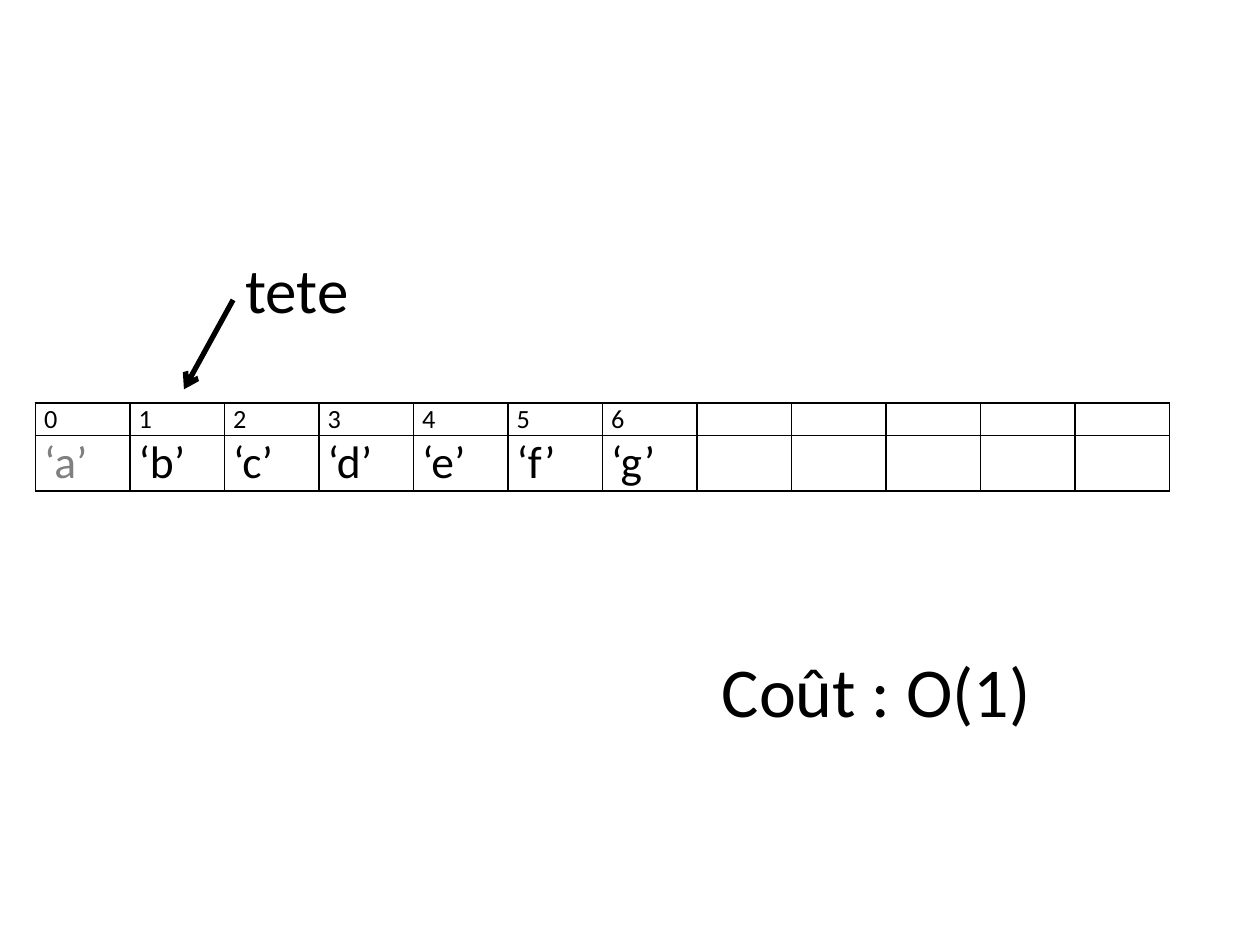
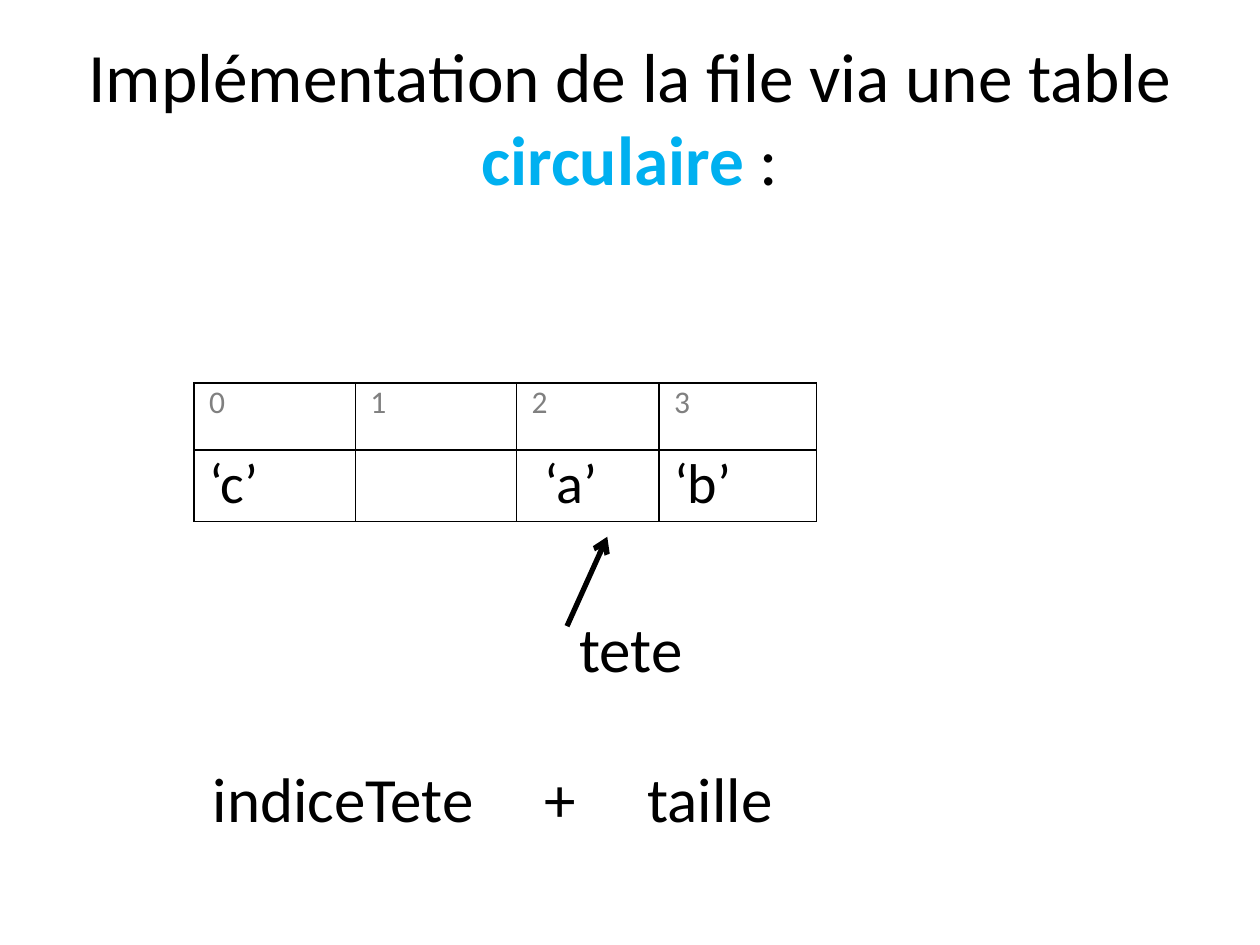
"""Build two slides on queues stored in a linear and in a circular table."""

from dataclasses import dataclass

from lxml import etree
from pptx import Presentation
from pptx.dml.color import RGBColor
from pptx.enum.shapes import MSO_CONNECTOR
from pptx.enum.text import MSO_ANCHOR, MSO_AUTO_SIZE, PP_ALIGN
from pptx.oxml.ns import qn
from pptx.slide import Slide
from pptx.table import _Cell
from pptx.text.text import _Paragraph
from pptx.util import Inches, Pt

STRAIGHT = MSO_CONNECTOR.STRAIGHT
MIDDLE = MSO_ANCHOR.MIDDLE
CENTER = PP_ALIGN.CENTER
NO_AUTOFIT = MSO_AUTO_SIZE.NONE
TITLE_ONLY, BLANK = 5, 6
BORDER_SIDES = ("a:lnL", "a:lnR", "a:lnT", "a:lnB")


@dataclass(frozen=True)
class Theme:
    """Colours, font and type sizes of the deck."""

    font: str = "Calibri"
    ink: str = "000000"
    muted: str = "808080"
    accent: str = "00B0F0"
    title_size: float = 39.6
    label_size: float = 36
    cost_size: float = 40
    border_width: float = 1
    arrow_width: float = 3


THEME = Theme()


@dataclass(frozen=True)
class Row:
    """One table row with its height and type style."""

    values: list[str]
    height: float
    size: float
    color: str = THEME.ink


@dataclass(frozen=True)
class QueueTable:
    """A queue drawn as a row of indices above a row of values."""

    left: float
    top: float
    widths: list[float]
    margin: float
    rows: list[Row]
    removed: tuple[str, ...] = ()


@dataclass(frozen=True)
class Label:
    """A single line of text with optional tab stops."""

    text: str
    left: float
    top: float
    width: float
    height: float
    size: float = THEME.label_size
    tabs: tuple[float, ...] = ()


@dataclass(frozen=True)
class Arrow:
    """A pointer from a label to a table cell."""

    start: tuple[float, float]
    end: tuple[float, float]


def add_run(paragraph: _Paragraph, text: str, size: float,
            color: str = THEME.ink, bold: bool = False) -> None:
    """Append one formatted run."""
    run = paragraph.add_run()
    run.text = text
    run.font.name = THEME.font
    run.font.size = Pt(size)
    run.font.bold = bold
    run.font.color.rgb = RGBColor.from_string(color)


def add_borders(cell: _Cell) -> None:
    """Draw a thin line on the four sides of a cell."""
    properties = cell._tc.get_or_add_tcPr()
    for side in BORDER_SIDES:
        line = etree.SubElement(properties, qn(side), w=str(Pt(THEME.border_width)))
        fill = etree.SubElement(line, qn("a:solidFill"))
        etree.SubElement(fill, qn("a:srgbClr"), val=THEME.ink)


def fill_cell(cell: _Cell, text: str, size: float, color: str, margin: float) -> None:
    """Format a cell and write its text."""
    cell.margin_left = cell.margin_right = Inches(margin)
    cell.margin_top = cell.margin_bottom = 0
    add_borders(cell)
    cell.fill.background()
    paragraph = cell.text_frame.paragraphs[0]
    if text:
        add_run(paragraph, text, size, color)
    else:
        etree.SubElement(paragraph._p, qn("a:endParaRPr"), sz=str(int(size * 100)))


def add_queue(slide: Slide, queue: QueueTable) -> None:
    """Draw a queue as a bordered table."""
    table = slide.shapes.add_table(
        len(queue.rows), len(queue.widths), Inches(queue.left), Inches(queue.top),
        Inches(sum(queue.widths)), Inches(sum(row.height for row in queue.rows))).table
    table.first_row = table.horz_banding = False
    for column, width in zip(table.columns, queue.widths):
        column.width = Inches(width)
    for r, row in enumerate(queue.rows):
        table.rows[r].height = Inches(row.height)
        for c in range(len(queue.widths)):
            text = row.values[c] if c < len(row.values) else ""
            color = THEME.muted if text in queue.removed else row.color
            fill_cell(table.cell(r, c), text, row.size, color, queue.margin)


def add_label(slide: Slide, label: Label) -> None:
    """Place a line of text."""
    frame = slide.shapes.add_textbox(
        Inches(label.left), Inches(label.top),
        Inches(label.width), Inches(label.height)).text_frame
    frame.word_wrap = False
    paragraph = frame.paragraphs[0]
    if label.tabs:
        stops = etree.SubElement(paragraph._p.get_or_add_pPr(), qn("a:tabLst"))
        for stop in label.tabs:
            etree.SubElement(stops, qn("a:tab"), pos=str(Inches(stop)), algn="l")
    add_run(paragraph, label.text, label.size)


def add_arrow(slide: Slide, arrow: Arrow) -> None:
    """Draw a thick arrow."""
    (x1, y1), (x2, y2) = arrow.start, arrow.end
    connector = slide.shapes.add_connector(
        STRAIGHT, Inches(x1), Inches(y1), Inches(x2), Inches(y2))
    connector.line.width = Pt(THEME.arrow_width)
    connector.line.color.rgb = RGBColor.from_string(THEME.ink)
    etree.SubElement(connector.line._get_or_add_ln(), qn("a:tailEnd"), type="arrow")
    etree.SubElement(connector._element.spPr, qn("a:effectLst"))


def set_title(slide: Slide, parts: list[tuple[str, str, bool]]) -> None:
    """Place the title and write its coloured parts."""
    title = slide.shapes.title
    title.left, title.top = Inches(0.5), Inches(0.3)
    title.width, title.height = Inches(9), Inches(1.25)
    frame = title.text_frame
    frame.auto_size = NO_AUTOFIT
    frame.vertical_anchor = MIDDLE
    frame.paragraphs[0].alignment = CENTER
    for text, color, bold in parts:
        add_run(frame.paragraphs[0], text, THEME.title_size, color, bold)


def quoted(letters: str) -> list[str]:
    """Put each letter between typographic quotes."""
    return [f"‘{letter}’" for letter in letters]


def digits(count: int) -> list[str]:
    """List the first indices as text."""
    return [str(index) for index in range(count)]


def build_linear_slide(deck: Presentation) -> None:
    """Show a removal from the linear table and its cost."""
    slide = deck.slides.add_slide(deck.slide_layouts[BLANK])
    add_queue(slide, QueueTable(
        0.28, 3.2, [0.75] * 12, 0.07,
        [Row(digits(7), 0.25, 15), Row(quoted("abcdefg"), 0.43, 26)],
        removed=("‘a’",)))
    add_arrow(slide, Arrow((1.85, 2.38), (1.46, 3.09)))
    add_label(slide, Label("tete", 1.85, 1.94, 1.03, 0.71))
    add_label(slide, Label("Coût : O(1)", 5.63, 5.09, 2.68, 0.77, THEME.cost_size))


def build_circular_slide(deck: Presentation) -> None:
    """Show the queue wrapping around a circular table."""
    slide = deck.slides.add_slide(deck.slide_layouts[TITLE_ONLY])
    set_title(slide, [("Implémentation de la file via une table ", THEME.ink, False),
                      ("circulaire ", THEME.accent, True),
                      (":", THEME.ink, False)])
    add_queue(slide, QueueTable(
        1.54, 3.04, [1.28, 1.28, 1.13, 1.25], 0.12,
        [Row(digits(4), 0.53, 18, THEME.muted),
         Row(["‘c’", "", "\u00a0‘a’", "‘b’"], 0.57, 32)]))
    add_arrow(slide, Arrow((4.5, 4.97), (4.82, 4.26)))
    add_label(slide, Label("tete", 4.5, 4.79, 1.03, 0.71))
    add_label(slide, Label("indiceTete\t+\ttaille", 1.59, 5.98, 4.68, 0.71,
                           tabs=(2.63, 3.45)))


def main() -> None:
    """Build and save the deck."""
    deck = Presentation()
    deck.slide_width, deck.slide_height = Inches(10), Inches(7.5)
    build_linear_slide(deck)
    build_circular_slide(deck)
    deck.save("out.pptx")


main()
